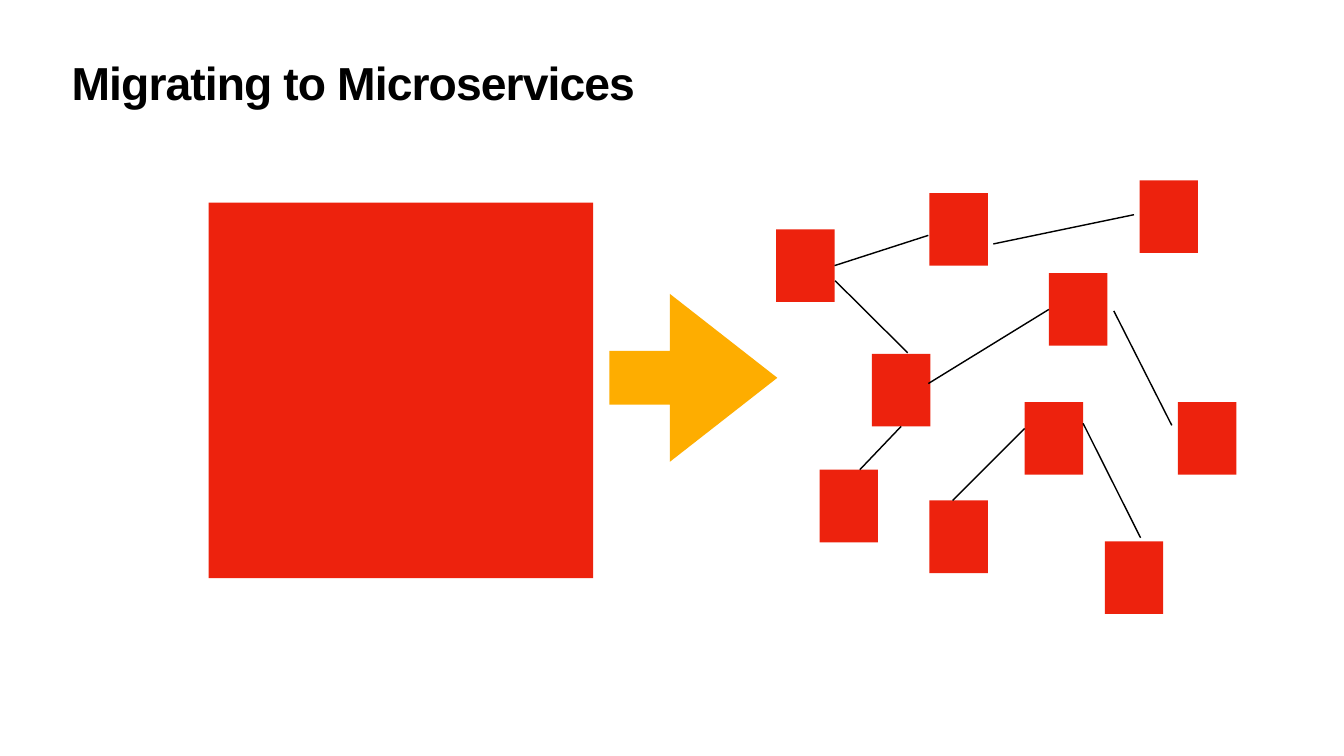
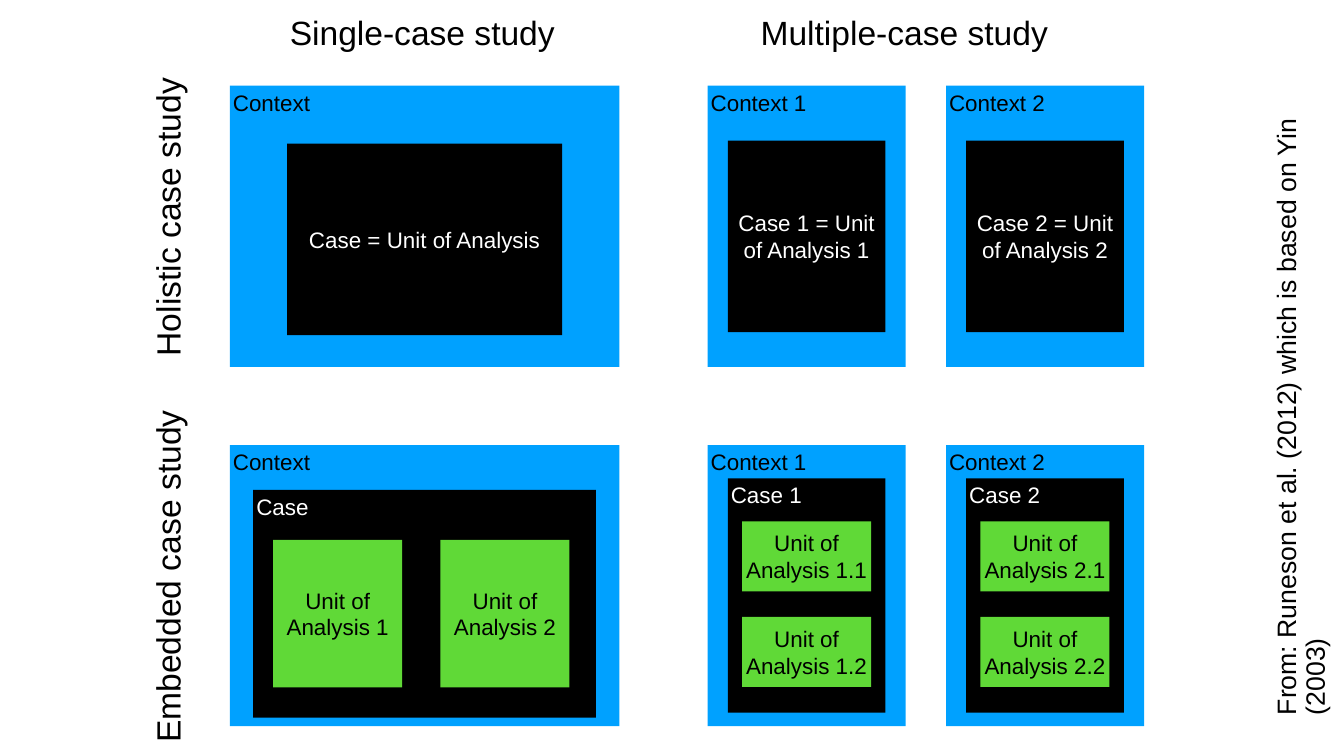
from dataclasses import dataclass
from typing import NamedTuple

from lxml import etree
from pptx import Presentation
from pptx import util as u
from pptx.dml.color import RGBColor
from pptx.enum import shapes, text
from pptx.oxml.ns import qn

# Grid shared by both slides: 80 columns by 45 rows
SLIDE_W, SLIDE_H = u.Inches(26.67), u.Inches(15)
COLUMNS, ROWS = 80, 45


def col(n: float) -> int:
    return round(SLIDE_W * n / COLUMNS)


def row(n: float) -> int:
    return round(SLIDE_H * n / ROWS)


@dataclass(frozen=True)
class Theme:
    font: str = "Arial"
    ink: str = "000000"
    paper: str = "FFFFFF"
    service: str = "ED220D"
    arrow: str = "FEAD00"
    context: str = "00A1FF"
    case: str = "000000"
    unit: str = "60D937"
    title_pt: float = 66.1
    heading_pt: float = 48
    source_pt: float = 38
    box_pt: float = 32
    line_pt: float = 2
    inset: int = u.Inches(0.06)


THEME = Theme()


class Box(NamedTuple):
    left: float
    top: float
    width: float
    height: float

    def emu(self) -> tuple:
        return col(self.left), row(self.top), col(self.width), row(self.height)

    def centred(self, width: float, drop: float, height: float) -> "Box":
        """A box centred across this one, its top `drop` rows below."""
        return Box(self.left + (self.width - width) / 2, self.top + drop, width, height)


class Point(NamedTuple):
    col: float
    row: float


class Port(NamedTuple):
    """The middle of a service's side: 0 top, 1 left, 2 bottom, 3 right."""
    service: str
    side: int


class Link(NamedTuple):
    start: Point | Port
    end: Point | Port


class Label(NamedTuple):
    words: str
    centre: Point
    length: float
    size: float = THEME.heading_pt
    upright: bool = False
    wrap: bool = False


class Context(NamedTuple):
    """One column of the case study table."""
    left: float
    width: float
    number: str
    case_width: float
    case_drop: float        # holistic case
    embedded_width: float
    embedded_drop: float
    embedded_height: float
    units: tuple            # boxes relative to the context's corner


# Drawing helpers
def write(tf, words: str, size: float, color: str, align=text.PP_ALIGN.LEFT,
          anchor=text.MSO_ANCHOR.MIDDLE, wrap: bool = True, inset: int = THEME.inset):
    tf.word_wrap, tf.vertical_anchor = wrap, anchor
    tf.auto_size = text.MSO_AUTO_SIZE.NONE
    tf.margin_left = tf.margin_right = tf.margin_top = tf.margin_bottom = inset
    p = tf.paragraphs[0]
    p.text, p.alignment = words, align
    p.font.name, p.font.size = THEME.font, u.Pt(size)
    p.font.color.rgb = RGBColor.from_string(color)
    return p


def add_block(slide, box: Box, fill: str, kind=shapes.MSO_SHAPE.RECTANGLE):
    sp = slide.shapes.add_shape(kind, *box.emu())
    sp.shadow.inherit = False
    sp.fill.solid()
    sp.fill.fore_color.rgb = RGBColor.from_string(fill)
    sp.line.fill.background()
    return sp


def add_named(slide, box: Box, fill: str, words: str, color: str) -> None:
    """A block with its name in the top left corner."""
    write(add_block(slide, box, fill).text_frame, words, THEME.box_pt, color,
          anchor=text.MSO_ANCHOR.TOP)


def add_centred(slide, box: Box, fill: str, words: str, color: str) -> None:
    write(add_block(slide, box, fill).text_frame, words, THEME.box_pt, color,
          align=text.PP_ALIGN.CENTER)


def add_title(slide, words: str, box: Box) -> None:
    sp = slide.shapes.title
    sp.left, sp.top, sp.width, sp.height = box.emu()
    p = write(sp.text_frame, words, THEME.title_pt, THEME.ink,
              anchor=text.MSO_ANCHOR.TOP, inset=u.Inches(0.1))
    p.font.bold, p.line_spacing = True, 0.8
    p.runs[0]._r.get_or_add_rPr().set("spc", "-130")


def add_label(slide, label: Label) -> None:
    height = 2.64
    box = Box(label.centre.col - label.length / 2, label.centre.row - height / 2,
              label.length, height)
    sp = slide.shapes.add_textbox(*box.emu())
    if label.upright:
        sp.rotation = 270
    p = write(sp.text_frame, label.words, label.size, THEME.ink, wrap=label.wrap)
    p.line_spacing = 0.9


def add_link(slide, link: Link, services: dict) -> None:
    def place(end: Point | Port) -> tuple:
        return (0, 0) if isinstance(end, Port) else (col(end.col), row(end.row))

    line = slide.shapes.add_connector(shapes.MSO_CONNECTOR.STRAIGHT,
                                      *place(link.start), *place(link.end))
    for end, join in ((link.start, line.begin_connect), (link.end, line.end_connect)):
        if isinstance(end, Port):
            join(services[end.service], end.side)
    line.line.width = u.Pt(THEME.line_pt)
    line.line.color.rgb = RGBColor.from_string(THEME.ink)
    etree.SubElement(line._element.spPr, qn("a:effectLst"))


# Slide 1: one monolith becomes a net of services
MONOLITH = Box(12.42, 12.06, 22.89, 22.35)
ARROW = Box(36.27, 17.49, 10, 10)
SERVICE_W, SERVICE_H = 3.48, 4.32
SERVICES = {
    "hub": Point(51.9, 21.06),
    "north": Point(55.32, 11.49),
    "west": Point(46.2, 13.65),
    "centre": Point(62.43, 16.26),
    "inner": Point(60.99, 23.94),
    "south": Point(55.32, 29.79),
    "southwest": Point(48.78, 27.96),
    "southeast": Point(65.76, 32.22),
    "east": Point(70.11, 23.94),
    "northeast": Point(67.83, 10.74),
}
LINKS = (
    Link(Port("west", 3), Point(55.26, 14.01)),
    Link(Point(49.71, 16.71), Point(54.03, 21)),
    Link(Port("hub", 2), Point(51.18, 27.96)),
    Link(Point(60.99, 25.5), Point(56.7, 29.79)),
    Link(Point(55.26, 22.83), Port("centre", 1)),
    Link(Point(59.13, 14.52), Point(67.5, 12.78)),
    Link(Point(66.3, 18.51), Point(69.75, 25.32)),
    Link(Point(64.47, 25.2), Point(67.89, 32.01)),
)


def build_migration(prs) -> None:
    slide = prs.slides.add_slide(prs.slide_layouts[5])
    add_title(slide, "Migrating to Microservices", Box(3.96, 3.54, 34.38, 4.71))
    add_block(slide, MONOLITH, THEME.service)
    services = {name: add_block(slide, Box(*corner, SERVICE_W, SERVICE_H), THEME.service)
                for name, corner in SERVICES.items()}
    for link in LINKS:
        add_link(slide, link, services)
    arrow = add_block(slide, ARROW, THEME.arrow, shapes.MSO_SHAPE.RIGHT_ARROW)
    arrow.adjustments[0], arrow.adjustments[1] = 0.32, 0.64


# Slide 2: kinds of case study
HOLISTIC_TOP, EMBEDDED_TOP, CONTEXT_H, CASE_H = 5.1, 26.49, 16.74, 11.4
UNIT_W = 7.68
SINGLE_UNITS = tuple(Box(x, 5.64, UNIT_W, 8.79) for x in (2.58, 12.54))
MULTIPLE_UNITS = tuple(Box(2.05, y, UNIT_W, 4.17) for y in (4.54, 10.23))
CONTEXTS = (
    Context(13.68, 23.19, "", 16.38, 3.45, 20.4, 2.67, 13.56, SINGLE_UNITS),
    *(Context(left, 11.79, number, 9.39, 3.27, 9.39, 1.98, 13.95, MULTIPLE_UNITS)
      for left, number in ((42.12, "1"), (56.31, "2"))),
)
LABELS = (
    Label("From: Runeson et al. (2012) which is based on Yin (2003)", Point(77.49, 22.5),
          40.5, THEME.source_pt, upright=True, wrap=True),
    Label("Single-case study", Point(25.26, 2.07), 16.38),
    Label("Multiple-case study", Point(54.06, 2.07), 17.94),
    Label("Holistic case study", Point(10.11, 12.75), 17.28, upright=True),
    Label("Embedded case study", Point(10.11, 34.17), 20.46, upright=True),
)


def add_holistic(slide, c: Context) -> None:
    outer = Box(c.left, HOLISTIC_TOP, c.width, CONTEXT_H)
    add_named(slide, outer, THEME.context, f"Context {c.number}".strip(), THEME.ink)
    words = f"Case {c.number} = Unit of Analysis {c.number}" if c.number else "Case = Unit of Analysis"
    add_centred(slide, outer.centred(c.case_width, c.case_drop, CASE_H),
                THEME.case, words, THEME.paper)


def add_embedded(slide, c: Context) -> None:
    outer = Box(c.left, EMBEDDED_TOP, c.width, CONTEXT_H)
    add_named(slide, outer, THEME.context, f"Context {c.number}".strip(), THEME.ink)
    add_named(slide, outer.centred(c.embedded_width, c.embedded_drop, c.embedded_height),
              THEME.case, f"Case {c.number}".strip(), THEME.paper)
    prefix = f"{c.number}." if c.number else ""
    for i, unit in enumerate(c.units, start=1):
        box = unit._replace(left=outer.left + unit.left, top=outer.top + unit.top)
        add_centred(slide, box, THEME.unit, f"Unit of Analysis {prefix}{i}", THEME.ink)


def build_case_studies(prs) -> None:
    slide = prs.slides.add_slide(prs.slide_layouts[6])
    for label in LABELS:
        add_label(slide, label)
    for add_study in (add_holistic, add_embedded):
        for context in CONTEXTS:
            add_study(slide, context)


def main() -> None:
    prs = Presentation()
    prs.slide_width, prs.slide_height = SLIDE_W, SLIDE_H
    build_migration(prs)
    build_case_studies(prs)
    prs.save("out.pptx")


if __name__ == "__main__":
    main()
